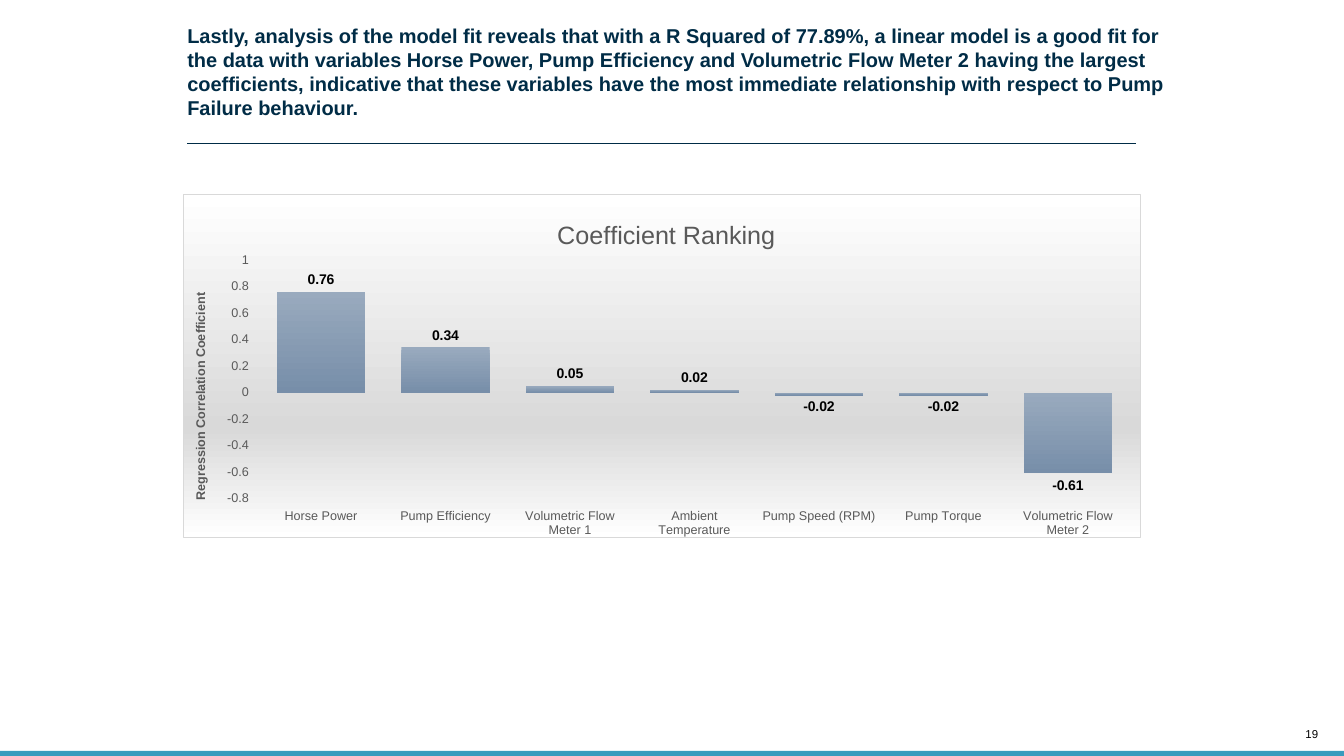
from lxml import etree
from pptx import Presentation
from pptx.chart.data import CategoryChartData
from pptx.dml.color import RGBColor
from pptx.enum.chart import XL_CHART_TYPE, XL_LABEL_POSITION, XL_TICK_LABEL_POSITION, XL_TICK_MARK
from pptx.enum.shapes import MSO_CONNECTOR, MSO_SHAPE
from pptx.enum.text import MSO_ANCHOR, MSO_AUTO_SIZE, PP_ALIGN
from pptx.oxml import parse_xml
from pptx.oxml.ns import nsdecls, qn
from pptx.util import Cm, Pt

COLUMNS = XL_CHART_TYPE.COLUMN_CLUSTERED
OUTSIDE_END = XL_LABEL_POSITION.OUTSIDE_END
LABELS_LOW = XL_TICK_LABEL_POSITION.LOW
NO_TICK, TICK_OUT = XL_TICK_MARK.NONE, XL_TICK_MARK.OUTSIDE

# Content
HEADLINE = (
    "Lastly, analysis of the model fit reveals that with a R Squared of 77.89%, "
    "a linear model is a good fit for the data with variables Horse Power, "
    "Pump Efficiency and Volumetric Flow Meter 2 having the largest coefficients, "
    "indicative that these variables have the most immediate relationship with "
    "respect to Pump Failure behaviour."
)
PAGE_NUMBER = "19"
CHART_TITLE = "Coefficient Ranking"
AXIS_TITLE = "Regression Correlation Coefficient"
COEFFICIENTS = {
    "Horse Power": 0.76,
    "Pump Efficiency": 0.34,
    "Volumetric Flow Meter 1": 0.05,
    "Ambient Temperature": 0.02,
    "Pump Speed (RPM)": -0.02,
    "Pump Torque": -0.02,
    "Volumetric Flow Meter 2": -0.61,
}

THEME = {
    "font": "Arial",
    "navy": "002C46", "teal": "379BBD", "black": "000000",
    "grey": "595959", "border": "D9D9D9",
    "bar": ("99AABE", "778EA9"),
    "panel": ((0, "FFFFFF"), (68, "D9D9D9"), (100, "FFFFFF")),
    "headline": 14.3, "chart_title": 18, "label": 10, "axis": 9, "page": 8.2,
}

# Layout
SLIDE_W, SLIDE_H = Cm(33.87), Cm(19.05)
LEFT = Cm(4.72)
RULE_Y = Cm(3.61)
RULE_END = Cm(28.63)
FOOT_H = Cm(0.13)


def style(font, size, color, bold=False):
    formats = {"name": THEME["font"], "size": Pt(THEME[size]), "bold": bold}
    for name, value in formats.items():
        setattr(font, name, value)
    font.color.rgb = RGBColor.from_string(THEME[color])


def fill_text(tf, text, size, color, bold=False, **formats):
    margins = dict.fromkeys(("margin_left", "margin_top", "margin_right", "margin_bottom"), 0)
    for name, value in {**margins, "auto_size": MSO_AUTO_SIZE.NONE, **formats}.items():
        setattr(tf, name, value)
    p = tf.paragraphs[0]
    r = p.add_run()
    r.text = text
    style(r.font, size, color, bold)
    return p


def manual_layout(x, y, w=None, h=None):
    """Chart layout in fractions of the chart area."""
    layout = parse_xml(f"<c:layout {nsdecls('c')}><c:manualLayout/></c:layout>")
    settings = {"xMode": "edge", "yMode": "edge", "x": x, "y": y}
    if w is not None:
        settings = {"layoutTarget": "inner", **settings, "w": w, "h": h}
    for name, value in settings.items():
        etree.SubElement(layout[0], qn(f"c:{name}")).set("val", str(value))
    return layout


def place_title(title, text, size, x, y, bold=False):
    tf = title.text_frame
    tf.text = text
    style(tf.paragraphs[0].runs[0].font, size, "grey", bold)
    element = title._element
    for old in element.findall(qn("c:layout")):
        element.remove(old)
    element.find(qn("c:tx")).addnext(manual_layout(x, y))


def paint_panel(chart):
    stops = "".join(
        f'<a:gs pos="{pos * 1000}"><a:srgbClr val="{color}"/></a:gs>'
        for pos, color in THEME["panel"]
    )
    panel = parse_xml(
        f"<c:spPr {nsdecls('c', 'a')}><a:gradFill><a:gsLst>{stops}</a:gsLst>"
        f'<a:lin ang="5400000" scaled="0"/></a:gradFill><a:ln w="9525"><a:solidFill>'
        f'<a:srgbClr val="{THEME["border"]}"/></a:solidFill></a:ln></c:spPr>'
    )
    chart._chartSpace.find(qn("c:chart")).addnext(panel)


def add_coefficient_chart(s):
    data = CategoryChartData(number_format="#,##0.00")
    data.categories = list(COEFFICIENTS)
    data.add_series("Series 1", list(COEFFICIENTS.values()))
    frame = s.shapes.add_chart(COLUMNS, Cm(4.6), Cm(4.9), Cm(24.16), Cm(8.66), data)
    chart = frame.chart
    style(chart.font, "label", "black")
    chart.has_legend = False
    paint_panel(chart)

    # Titles and plot area
    place_title(chart.chart_title, CHART_TITLE, "chart_title", 0.386, 0.055)
    place_title(chart.value_axis.axis_title, AXIS_TITLE, "axis", 0.007, 0.28, True)
    plot_area = chart._chartSpace.find(qn("c:chart")).find(qn("c:plotArea"))
    for old in plot_area.findall(qn("c:layout")):
        plot_area.remove(old)
    plot_area.insert(0, manual_layout(0.079, 0.19, 0.91, 0.697))

    # Axes
    axis_formats = (
        (chart.category_axis, {"major_tick_mark": NO_TICK, "tick_label_position": LABELS_LOW}),
        (chart.value_axis, {"major_tick_mark": TICK_OUT, "minimum_scale": -0.8,
                            "maximum_scale": 1, "major_unit": 0.2}),
    )
    for axis, formats in axis_formats:
        for name, value in formats.items():
            setattr(axis, name, value)
        axis.has_major_gridlines = False
        axis.format.line.fill.background()
        style(axis.tick_labels.font, "axis", "grey")
    numbers = chart.value_axis.tick_labels
    numbers.number_format, numbers.number_format_is_linked = "General", False

    # Bars and their values
    plot = chart.plots[0]
    plot.gap_width, plot.vary_by_categories = 41, False
    series = plot.series[0]
    series.invert_if_negative = False
    fill = series.format.fill
    fill.gradient()
    fill.gradient_angle = 270
    for stop, color in zip(fill.gradient_stops, THEME["bar"]):
        stop.color.rgb = RGBColor.from_string(color)
    labels = series.data_labels
    formats = {"show_value": True, "position": OUTSIDE_END,
               "number_format": "#,##0.00", "number_format_is_linked": False}
    for name, value in formats.items():
        setattr(labels, name, value)
    style(labels.font, "label", "black", True)


def main():
    prs = Presentation()
    prs.slide_width, prs.slide_height = SLIDE_W, SLIDE_H
    s = prs.slides.add_slide(prs.slide_layouts[5])

    # Footer: page number and band
    box = s.shapes.add_textbox(Cm(32.22), Cm(18.31), Cm(1), Cm(0.36))
    p = fill_text(box.text_frame, PAGE_NUMBER, "page", "black",
                  vertical_anchor=MSO_ANCHOR.BOTTOM, word_wrap=False)
    p.alignment = PP_ALIGN.RIGHT
    band = s.shapes.add_shape(MSO_SHAPE.RECTANGLE, 0, SLIDE_H - FOOT_H, SLIDE_W, FOOT_H)
    band.shadow.inherit = False
    band.fill.solid()
    band.fill.fore_color.rgb = RGBColor.from_string(THEME["teal"])
    band.line.fill.background()

    # Headline and rule
    title = s.shapes.title
    title.left, title.top, title.width, title.height = LEFT, Cm(0.58), Cm(24.77), Cm(2.49)
    p = fill_text(title.text_frame, HEADLINE, "headline", "navy", True,
                  vertical_anchor=MSO_ANCHOR.TOP, word_wrap=True)
    p.alignment = PP_ALIGN.LEFT
    rule = s.shapes.add_connector(MSO_CONNECTOR.STRAIGHT, LEFT, RULE_Y, RULE_END, RULE_Y)
    rule.line.color.rgb = RGBColor.from_string(THEME["navy"])
    rule.line.width = Pt(0.75)
    etree.SubElement(rule._element.spPr, qn("a:effectLst"))

    add_coefficient_chart(s)
    prs.save("out.pptx")


if __name__ == "__main__":
    main()
